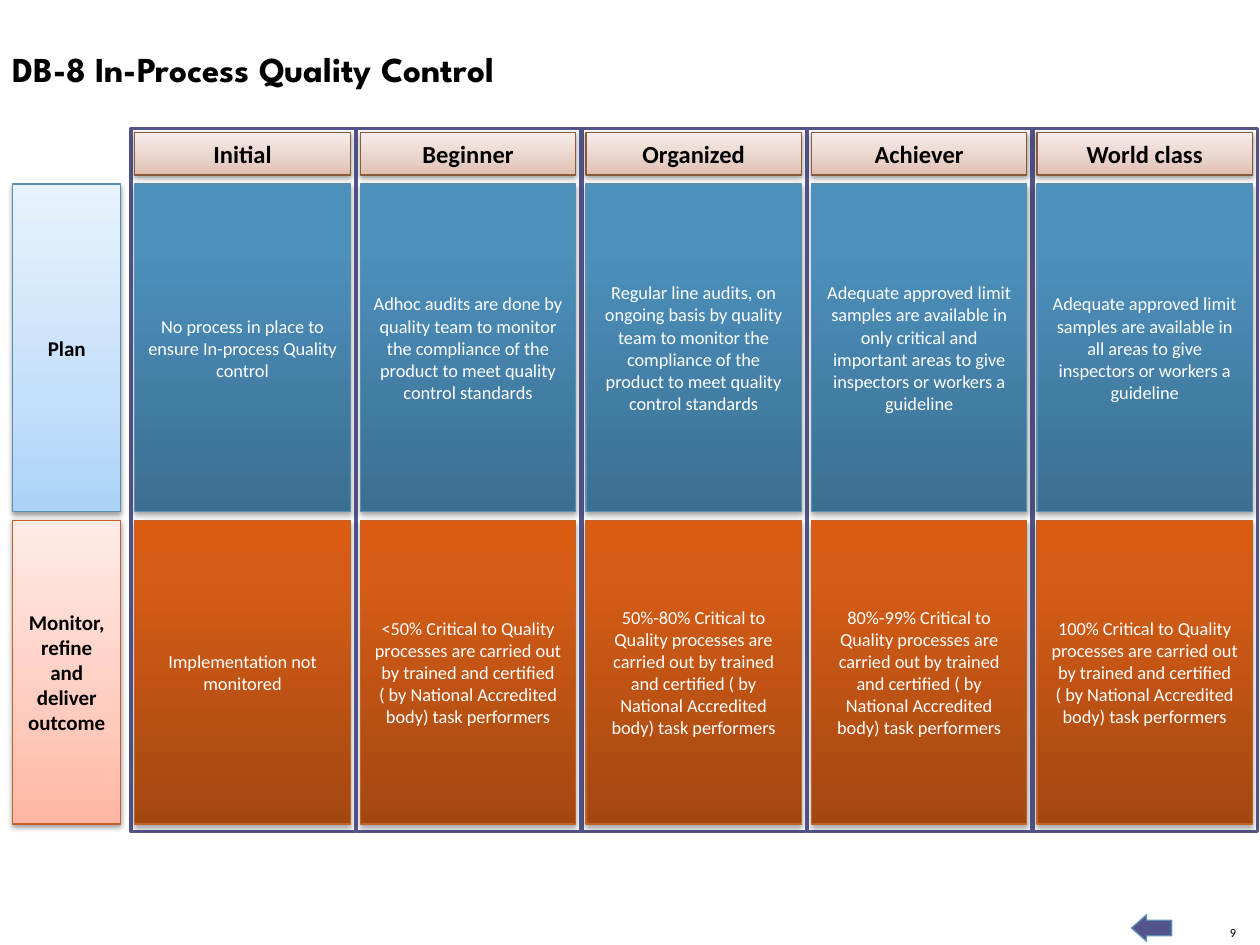
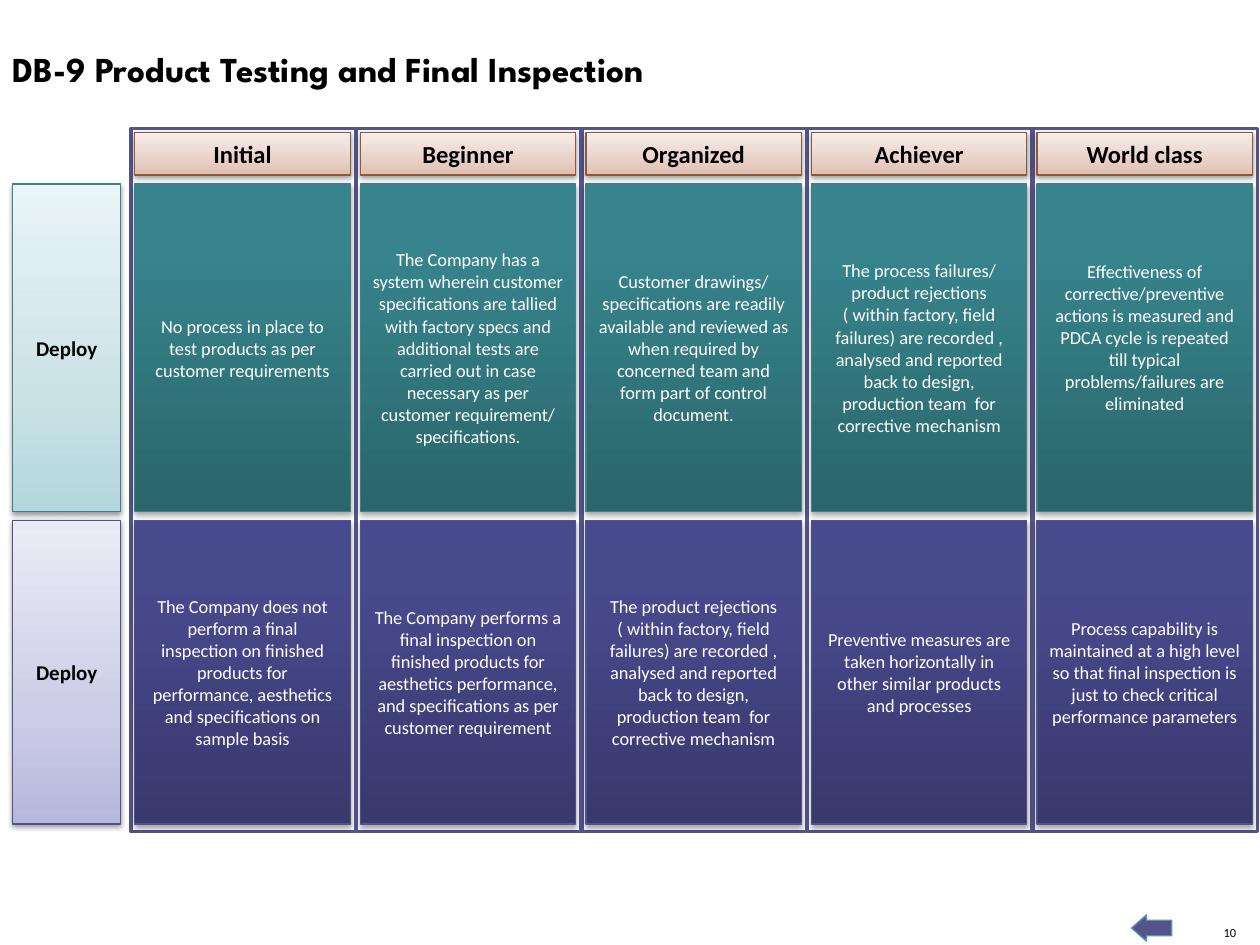
from pptx import Presentation
from pptx.dml.color import RGBColor
from pptx.enum.shapes import MSO_SHAPE as SHAPE
from pptx.enum.text import MSO_ANCHOR as ANCHOR, MSO_AUTO_SIZE as FIT, PP_ALIGN as ALIGN
from pptx.oxml import parse_xml
from pptx.oxml.ns import nsdecls
from pptx.util import Inches, Pt

BODY, HEAD = "Calibri", "League Spartan"
BLACK, WHITE, INDIGO = "000000", "FFFFFF", "53548A"
LEVELS = ["Initial", "Beginner", "Organized", "Achiever", "World class"]
SOFT, DEEP = (0, 35, 100), (0, 80, 100)
GLOW, DROP = (38, 20000), (35, 23000)
PEACH = (["E0BEB0", "E8D1C8", "F7EDEA"], "8A5B3A")

THEMES = {
    "blue": (["ABD3F8", "C4DFF9", "E7F3FE"], ["3B6F91", "4C90BC", "4A91BF"], "588FB3"),
    "orange": (["FFB6A3", "FFCBBE", "FFEBE6"], ["A34711", "D45C16", "D95C12"], "C36228"),
    "teal": (["B3D7DC", "CAE2E6", "EAF4F6"], ["2A666B", "37848C", "36868E"], "407F85"),
    "violet": (["B6B7DC", "CCCCE6", "EBEBF6"], ["38396D", "484A8E", "474990"], "505188"),
}

LABEL_X, LABEL_W = 0.1, 0.86
GRID_X, GRID_Y, GRID_H = 1.04, 1.02, 5.58
STEP, FRAME_W, CELL_W, PAD = 1.79, 1.78, 1.71, 0.03
HEAD_H = 0.34
ROWS = [(1.46, 2.6), (4.13, 2.41)]

SKILLED = "Critical to Quality processes are carried out by trained and certified ( by National Accredited body) task performers"
FAULTS = "( within factory, field failures) are recorded , analysed and reported back to design, production team  for corrective mechanism"
LIMITS = "Adequate approved limit samples are available in"
GUIDE = "areas to give inspectors or workers a guideline"
AUDIT = "to monitor the compliance of the product to meet quality control standards"

PAGES = [
    (9, "DB-8 In-Process Quality Control", [
        ("Plan", "blue", [
            "No process in place to ensure In-process Quality control",
            f"Adhoc audits are done by quality team {AUDIT}",
            f"Regular line audits, on ongoing basis by quality team {AUDIT}",
            f"{LIMITS} only critical and important {GUIDE}",
            f"{LIMITS} all {GUIDE}",
        ]),
        ("Monitor, refine and deliver outcome", "orange", [
            "Implementation not monitored",
            *[f"{share} {SKILLED}" for share in ("<50%", "50%-80%", "80%-99%", "100%")],
        ]),
    ]),
    (10, "DB-9 Product Testing and Final Inspection", [
        ("Deploy", "teal", [
            "No process in place to test products as per customer requirements",
            "The Company has a system wherein customer specifications are tallied with factory specs and additional tests are carried out in case necessary as per customer requirement/ specifications.",
            "Customer drawings/ specifications are readily available and reviewed as when required by concerned team and form part of control document.",
            f"The process failures/ product rejections {FAULTS}",
            "Effectiveness of corrective/preventive actions is measured and PDCA cycle is repeated till typical problems/failures are eliminated",
        ]),
        ("Deploy", "violet", [
            "The Company does not perform a final inspection on finished products for performance, aesthetics and specifications on sample basis",
            "The Company performs a final inspection on finished products for aesthetics performance, and specifications as per customer requirement",
            f"The product rejections {FAULTS}",
            "Preventive measures are taken horizontally in other similar products and processes",
            "Process capability is maintained at a high level so that final inspection is just to check critical performance parameters",
        ]),
    ]),
]


def paint(color):
    return RGBColor.from_string(color)


def write(frame, text, size, color=BLACK, bold=False, align=ALIGN.CENTER, face=BODY):
    para = frame.paragraphs[0]
    para.alignment = align
    run = para.add_run()
    run.text = text
    font = run.font
    font.name, font.size, font.bold = face, Pt(size), bold
    font.color.rgb = paint(color)


def draw(slide, kind, box, edge, width):
    shape = slide.shapes.add_shape(kind, *map(Inches, box))
    shape.shadow.inherit = False
    shape.line.color.rgb = paint(edge)
    shape.line.width = Pt(width)
    return shape


def shade(shape, colors, stops):
    marks = "".join(
        f'<a:gs pos="{stop * 1000}"><a:srgbClr val="{color}"/></a:gs>'
        for stop, color in zip(stops, colors))
    shape._element.spPr.insert(2, parse_xml(
        f'<a:gradFill {nsdecls("a")} rotWithShape="1"><a:gsLst>{marks}</a:gsLst>'
        '<a:lin ang="16200000" scaled="0"/></a:gradFill>'))


def cast(shape, alpha, gap):
    shape._element.spPr[-1].append(parse_xml(
        f'<a:outerShdw {nsdecls("a")} blurRad="40000" dist="{gap}" dir="5400000" rotWithShape="0">'
        f'<a:srgbClr val="{BLACK}"><a:alpha val="{alpha * 1000}"/></a:srgbClr></a:outerShdw>'))


def add_tile(slide, box, text, colors, edge, size, strong=True):
    tile = draw(slide, SHAPE.RECTANGLE, box, edge, 0.75)
    shade(tile, colors, SOFT if strong else DEEP)
    cast(tile, *(GLOW if strong else DROP))
    frame = tile.text_frame
    frame.word_wrap = True
    frame.vertical_anchor = ANCHOR.MIDDLE
    write(frame, text, size, BLACK if strong else WHITE, strong)
    return tile


def add_title(slide, text):
    title = slide.shapes.title
    title.left, title.top, title.width, title.height = map(Inches, (0, 0.33, 8.6, 0.44))
    frame = title.text_frame
    frame.word_wrap = True
    frame.auto_size = FIT.SHAPE_TO_FIT_TEXT
    frame.vertical_anchor = ANCHOR.TOP
    write(frame, text, 20, bold=True, align=ALIGN.LEFT, face=HEAD)


def add_foot(slide, number):
    frame = slide.shapes.add_textbox(*map(Inches, (9.69, 7.34, 0.12, 0.12))).text_frame
    frame.margin_left = frame.margin_top = frame.margin_right = frame.margin_bottom = 0
    frame.word_wrap = False
    frame.vertical_anchor = ANCHOR.BOTTOM
    write(frame, str(number), 7.1, align=ALIGN.RIGHT)
    arrow = draw(slide, SHAPE.RIGHT_ARROW, (8.98, 7.26, 0.32, 0.21), "5C92B5", 0.75)
    arrow.rotation = 180
    arrow.adjustments[0], arrow.adjustments[1] = 0.59, 0.57
    arrow.fill.solid()
    arrow.fill.fore_color.rgb = paint(INDIGO)


def add_grid(slide, rows, left, top):
    spots = [left + STEP * i for i in range(len(LEVELS))]
    for x in spots:
        frame = draw(slide, SHAPE.RECTANGLE, (x, top, FRAME_W, GRID_H), INDIGO, 2)
        frame.fill.solid()
        frame.fill.fore_color.rgb = paint(WHITE)
    for (y, high), (label, theme, texts) in zip(ROWS, rows):
        pale, dark, edge = THEMES[theme]
        add_tile(slide, (LABEL_X, y, LABEL_W, high), label, pale, edge, 12)
        for x, text in zip(spots, texts):
            cell = add_tile(slide, (x + PAD, y, CELL_W, high), text, dark, edge, 10.5, False)
            if text.startswith("Effectiveness"):
                cell.text_frame.margin_bottom = Inches(0.22)
    for x, level in zip(spots, LEVELS):
        add_tile(slide, (x + PAD, top + PAD, CELL_W, HEAD_H), level, *PEACH, 14)


def main():
    deck = Presentation()
    deck.slide_width, deck.slide_height = Inches(10), Inches(7.5)
    for number, title, rows in PAGES:
        slide = deck.slides.add_slide(deck.slide_layouts[5])
        add_foot(slide, number)
        add_title(slide, title)
        add_grid(slide, rows, GRID_X, GRID_Y)
    deck.save("out.pptx")


if __name__ == "__main__":
    main()
